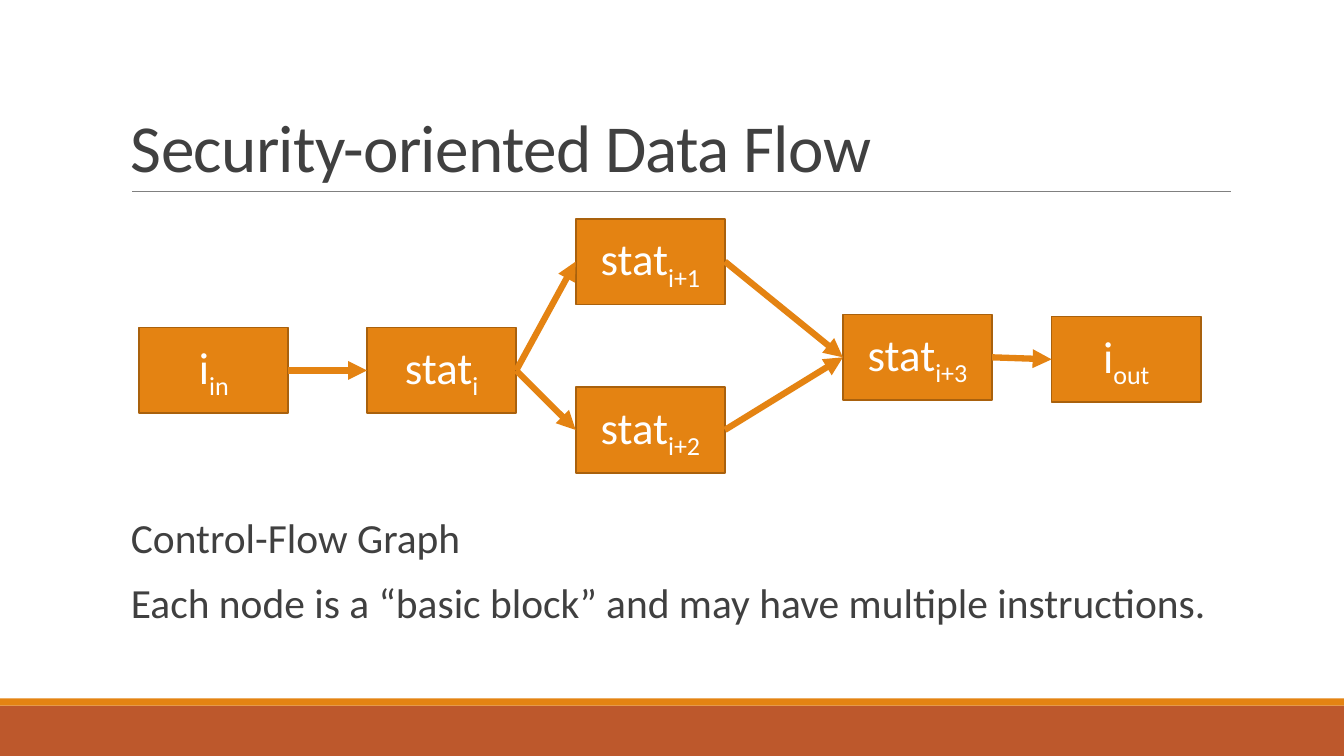
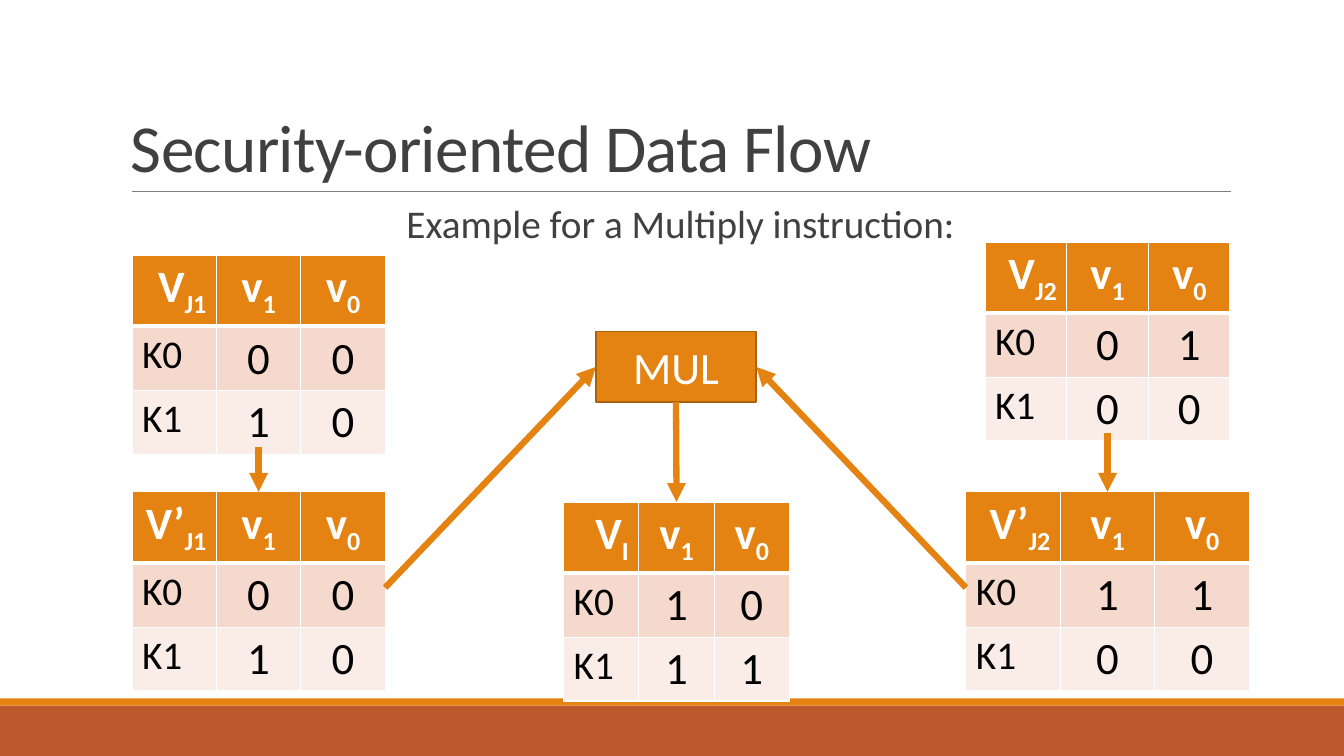
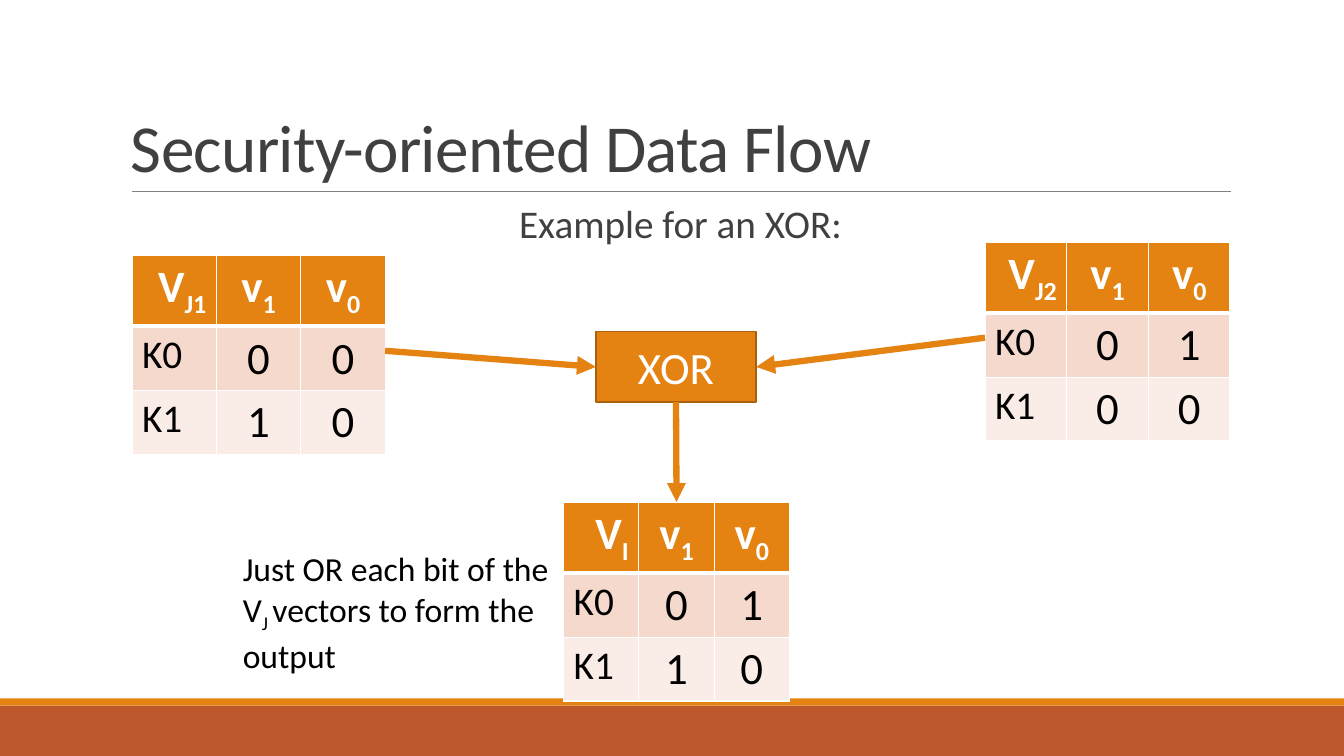
from pptx import Presentation
from pptx.dml.color import RGBColor
from pptx.enum.shapes import MSO_CONNECTOR as CONNECTOR, MSO_SHAPE as SHAPE
from pptx.enum.text import MSO_ANCHOR as ANCHOR, PP_ALIGN as ALIGN
from pptx.oxml.ns import qn
from pptx.util import Inches, Pt
from lxml.etree import SubElement

TITLE = "Security-oriented Data Flow"
SITES = ("top", "left", "bottom", "right")  # connection sites of a rectangle


def color(hex_code):
    return RGBColor.from_string(hex_code)


def edge_point(item, side):
    """Middle of one side of a box or table."""
    x, y = item.left + item.width // 2, item.top + item.height // 2
    return {"top": (x, item.top), "left": (item.left, y),
            "bottom": (x, item.top + item.height),
            "right": (item.left + item.width, y)}[side]


class Deck:
    FONT = "Calibri"
    ORANGE, RUST, OUTLINE = "E48312", "BD582C", "A9610D"
    INK, RULE, WHITE, BLACK = "404040", "808080", "FFFFFF", "000000"
    ROW_TINTS = ("F5D9CC", "FAEDE7")

    def __init__(self):
        self.prs = Presentation()
        self.prs.slide_width, self.prs.slide_height = Inches(13.33), Inches(7.5)

    def new_slide(self):
        self.slide = self.prs.slides.add_slide(self.prs.slide_layouts[6])
        # Footer bands, title and rule
        self.rect(0, 7, 13.33, 0.5, self.RUST)
        self.rect(0, 6.93, 13.33, 0.07, self.ORANGE)
        self.line((Inches(1.31), Inches(1.9)), (Inches(12.21), Inches(1.9)), self.RULE, 0.5)
        self.text(1.2, 0.31, 11, 1.59, [TITLE], 48, self.INK, anchor=ANCHOR.BOTTOM,
                  line_spacing=0.85, tracking=-50)

    def add_runs(self, paragraph, marked, size, hex_code, bold=False, tracking=None):
        """Add runs; every second part between bars is a subscript."""
        for index, part in enumerate(marked.split("|")):
            run = paragraph.add_run()
            run.text = part
            font = run.font
            font.name, font.size, font.bold = self.FONT, Pt(size), bold
            font.color.rgb = color(hex_code)
            props = run._r.get_or_add_rPr()
            if index % 2:
                props.set("baseline", "-25000")
            if tracking:
                props.set("spc", str(tracking))

    def text(self, x, y, w, h, lines, size, hex_code, align=ALIGN.LEFT, anchor=ANCHOR.TOP,
             line_spacing=1.0, before=0, after=0, right_inset=0.1, tracking=None):
        frame = self.slide.shapes.add_textbox(*map(Inches, (x, y, w, h))).text_frame
        frame.word_wrap = True
        frame.vertical_anchor = anchor
        frame.margin_right = Inches(right_inset)
        for index, content in enumerate(lines):
            paragraph = frame.add_paragraph() if index else frame.paragraphs[0]
            paragraph.alignment = align
            paragraph.line_spacing = line_spacing
            paragraph.space_before, paragraph.space_after = Pt(before), Pt(after)
            self.add_runs(paragraph, content, size, hex_code, tracking=tracking)

    def body(self, y, h, lines, size, align=ALIGN.LEFT, line_spacing=0.9):
        self.text(1.2, y, 11, h, lines, size, self.INK, align, line_spacing=line_spacing,
                  before=12, after=2, right_inset=0)

    def rect(self, x, y, w, h, fill):
        shape = self.slide.shapes.add_shape(SHAPE.RECTANGLE, *map(Inches, (x, y, w, h)))
        shape.shadow.inherit = False
        shape.fill.solid()
        shape.fill.fore_color.rgb = color(fill)
        shape.line.fill.background()
        return shape

    def node(self, x, y, label, w=1.48, h=0.85):
        box = self.rect(x, y, w, h, self.ORANGE)
        box.line.color.rgb = color(self.OUTLINE)
        box.line.width = Pt(1.25)
        box.text_frame.vertical_anchor = ANCHOR.MIDDLE
        paragraph = box.text_frame.paragraphs[0]
        paragraph.alignment = ALIGN.CENTER
        self.add_runs(paragraph, label, 32, self.WHITE)
        return box

    def line(self, start, end, hex_code, width):
        line = self.slide.shapes.add_connector(CONNECTOR.STRAIGHT, *start, *end)
        line.line.color.rgb = color(hex_code)
        line.line.width = Pt(width)
        SubElement(line._element.spPr, qn("a:effectLst"))
        return line

    def arrow(self, source, target, leave="right", enter="left"):
        arrow = self.line(edge_point(source, leave), edge_point(target, enter), self.ORANGE, 4.5)
        SubElement(arrow._element.spPr.find(qn("a:ln")), qn("a:tailEnd"), type="triangle")
        if not source.has_table:
            arrow.begin_connect(source, SITES.index(leave))
        if not target.has_table:
            arrow.end_connect(target, SITES.index(enter))

    def borders(self, cell, bottom):
        props = cell._tc.get_or_add_tcPr()
        for tag, width in (("lnL", 1), ("lnR", 1), ("lnT", 1), ("lnB", bottom)):
            edge = SubElement(props, qn(f"a:{tag}"), w=str(Pt(width)))
            fill = SubElement(edge, qn("a:solidFill"))
            SubElement(fill, qn("a:srgbClr"), val=self.WHITE)

    def bit_table(self, x, y, w, vector, k0, k1):
        """Table of the bits v1 and v0 of a vector for K0 and K1."""
        frame = self.slide.shapes.add_table(3, 3, *map(Inches, (x, y, w, 1.9)))
        rows = ((vector, "v|1", "v|0"), ("K0", *k0), ("K1", *k1))
        for r, row in enumerate(rows):
            header = r == 0
            for c, content in enumerate(row):
                cell = frame.table.cell(r, c)
                self.borders(cell, 3 if header else 1)
                cell.fill.solid()
                cell.fill.fore_color.rgb = color(self.ORANGE if header else self.ROW_TINTS[r - 1])
                paragraph = cell.text_frame.paragraphs[0]
                first = ALIGN.RIGHT if header else ALIGN.LEFT
                paragraph.alignment = ALIGN.CENTER if c else first
                self.add_runs(paragraph, content, 32 if header or c else 28,
                              self.WHITE if header else self.BLACK, bold=header)
        return frame

    def operation(self, caption, name, result_k0, result_k1):
        """Slide with two input vectors, an operation and its result."""
        self.new_slide()
        self.body(2.02, 0.5, [caption], 28, ALIGN.CENTER, 0.8)
        j1 = self.bit_table(1.31, 2.53, 2.51, "V|J1", "00", "10")
        j2 = self.bit_table(9.77, 2.4, 2.43, "V|J2", "01", "00")
        operator = self.node(5.91, 3.29, name, 1.59, 0.7)
        result = self.bit_table(5.59, 4.98, 2.24, "V|I", result_k0, result_k1)
        self.arrow(operator, result, "bottom", "top")
        return j1, j2, operator


def main():
    deck = Deck()

    # Control-flow graph
    deck.new_slide()
    deck.body(5.09, 1.33, ["Control-Flow Graph",
                           "Each node is a “basic block” and may have multiple instructions."], 29.6)
    entry = deck.node(1.38, 3.25, "i|in")
    stat = deck.node(3.64, 3.25, "stat|i")
    upper = deck.node(5.71, 2.17, "stat|i+1")
    lower = deck.node(5.71, 3.84, "stat|i+2")
    merge = deck.node(8.36, 3.12, "stat|i+3")
    leaving = deck.node(10.43, 3.14, "i|out")
    for source, target in ((entry, stat), (stat, upper), (stat, lower),
                           (upper, merge), (lower, merge), (merge, leaving)):
        deck.arrow(source, target)

    # Multiply: the inputs are extended first
    j1, j2, multiply = deck.operation("Example for a Multiply instruction:", "MUL", "10", "11")
    extended_j1 = deck.bit_table(1.31, 4.88, 2.51, "V’|J1", "00", "10")
    extended_j2 = deck.bit_table(9.58, 4.88, 2.81, "V’|J2", "11", "00")
    deck.arrow(j1, extended_j1, "bottom", "top")
    deck.arrow(j2, extended_j2, "bottom", "top")
    deck.arrow(extended_j1, multiply)
    deck.arrow(extended_j2, multiply, "left", "right")

    # XOR: the inputs are used directly
    j1, j2, xor = deck.operation("Example for an XOR:", "XOR", "01", "10")
    deck.arrow(j1, xor)
    deck.arrow(j2, xor, "left", "right")
    deck.text(2.31, 5.39, 3.34, 1.31,
              ["Just OR each bit of the V|J |vectors to form the output"], 24, deck.BLACK)

    deck.prs.save("out.pptx")


if __name__ == "__main__":
    main()
